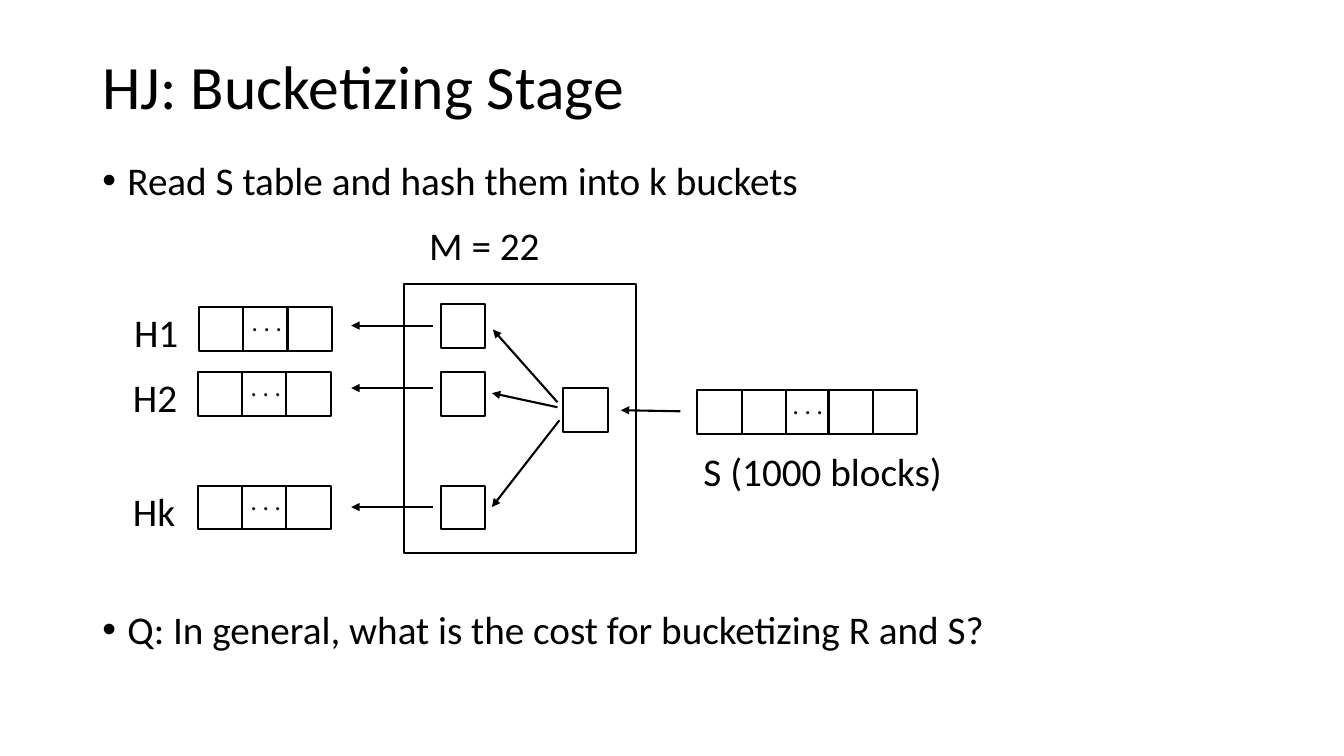
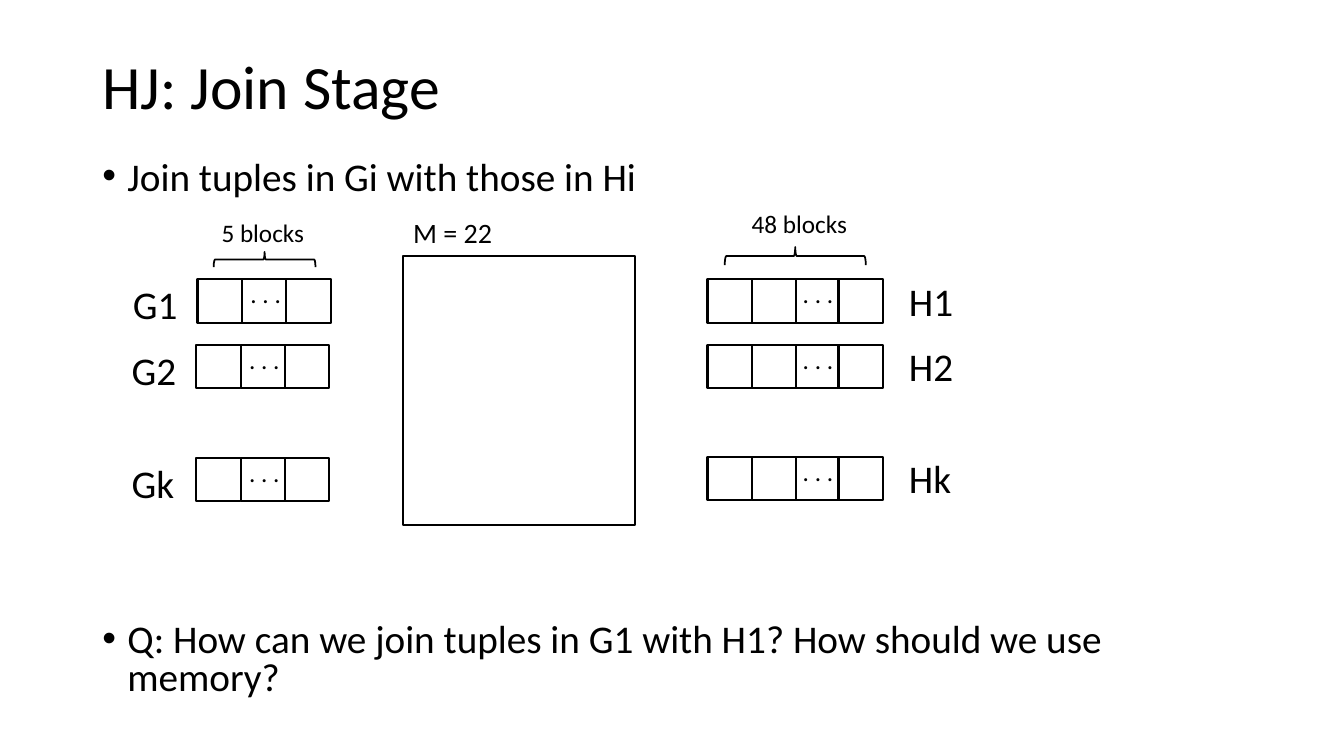
"""Builds two slides on the bucketizing and join stages of a hash join."""
from dataclasses import dataclass
from typing import Optional, Union

from lxml.etree import SubElement
from pptx import Presentation
from pptx.dml.color import RGBColor
from pptx.enum.shapes import MSO_CONNECTOR, MSO_SHAPE
from pptx.enum.text import MSO_ANCHOR, MSO_AUTO_SIZE, PP_ALIGN
from pptx.oxml.ns import qn
from pptx.shapes.autoshape import Shape
from pptx.shapes.shapetree import GroupShapes, SlideShapes
from pptx.slide import Slide
from pptx.text.text import TextFrame
from pptx.util import Pt

Shapes = Union[SlideShapes, GroupShapes]

FONT = "Calibri"
BLACK = "000000"
WHITE = "FFFFFF"
TITLE_SIZE, BODY_SIZE, MEMORY_SIZE, NOTE_SIZE = 44, 28, 20, 18
MARGIN, CONTENT_WIDTH = 66, 828
CELL_WIDTH, CELL_HEIGHT = 31.7, 31.2
MEMORY_WIDTH, MEMORY_HEIGHT = 165.6, 192.2
LINE_WIDTH = 1.5
LEFT_LABEL_SHIFT = (-53.3, -2.6)
RIGHT_LABEL_SHIFT = (136.8, -5)


@dataclass(frozen=True)
class Label:
    """A single line of text and its frame."""
    text: str
    left: float
    top: float
    width: float
    height: float = 41
    size: float = BODY_SIZE


@dataclass(frozen=True)
class Strip:
    """A row of blocks, one of which holds an ellipsis."""
    left: float
    top: float
    count: int
    dots_index: int
    name: str = ""
    name_shift: tuple[float, float] = LEFT_LABEL_SHIFT


@dataclass(frozen=True)
class Arrow:
    """A line with its arrowhead at the end point."""
    start: tuple[float, float]
    end: tuple[float, float]


@dataclass(frozen=True)
class Brace:
    """A right brace frame, before its turn to point upwards."""
    left: float
    top: float
    width: float
    height: float


@dataclass(frozen=True)
class Bullets:
    """Two bullets with a gap for the diagram between them."""
    statement: str
    question: str
    gap: float
    line_spacing: float


@dataclass(frozen=True)
class Diagram:
    """Everything shown on one slide."""
    title: str
    bullets: Bullets
    memory: tuple[float, float]
    cells: list[tuple[float, float]]
    strips: list[Strip]
    labels: list[Label]
    arrows: list[Arrow]
    braces: list[Brace]


def color(value: str) -> RGBColor:
    """Turn a hex string into a colour."""
    return RGBColor.from_string(value)


def format_text(frame: TextFrame, size: float) -> None:
    """Give all runs the shared font and colour."""
    for para in frame.paragraphs:
        for span in para.runs:
            span.font.name = FONT
            span.font.size = Pt(size)
            span.font.color.rgb = color(BLACK)


def outline(shape: Shape, width: float, fill: Optional[str]) -> None:
    """Set a black line and a plain fill or none."""
    shape.shadow.inherit = False
    shape.line.color.rgb = color(BLACK)
    shape.line.width = Pt(width)
    if fill is None:
        shape.fill.background()
    else:
        shape.fill.solid()
        shape.fill.fore_color.rgb = color(fill)


def add_rectangle(shapes: Shapes, left: float, top: float,
                  width: float = CELL_WIDTH, height: float = CELL_HEIGHT) -> None:
    """Draw a white rectangle, one block in size by default."""
    box = shapes.add_shape(MSO_SHAPE.RECTANGLE, Pt(left), Pt(top), Pt(width), Pt(height))
    outline(box, LINE_WIDTH, WHITE)


def add_label(shapes: Shapes, label: Label) -> None:
    """Draw a label that does not wrap."""
    box = shapes.add_textbox(Pt(label.left), Pt(label.top), Pt(label.width), Pt(label.height))
    frame = box.text_frame
    frame.text = label.text
    frame.word_wrap = False
    frame.auto_size = MSO_AUTO_SIZE.SHAPE_TO_FIT_TEXT
    format_text(frame, label.size)


def add_strip(page: Slide, strip: Strip) -> None:
    """Draw a strip of blocks with its ellipsis and name as one group."""
    shapes = page.shapes.add_group_shape().shapes
    tuck = 1.5 if strip.dots_index > 1 else 0
    for index in range(strip.count):
        overlap = tuck if index > strip.dots_index else 0
        add_rectangle(shapes, strip.left + index * CELL_WIDTH - overlap, strip.top)
    dots_left = strip.left + strip.dots_index * CELL_WIDTH - 1 - tuck
    add_label(shapes, Label(". . .", dots_left, strip.top - 4.1, 36.7, 29, NOTE_SIZE))
    if strip.name:
        across, down = strip.name_shift
        add_label(shapes, Label(strip.name, strip.left + across, strip.top + down, 46.8))


def add_arrow(page: Slide, arrow: Arrow) -> None:
    """Draw a straight arrow."""
    points = [Pt(value) for value in (*arrow.start, *arrow.end)]
    line = page.shapes.add_connector(MSO_CONNECTOR.STRAIGHT, *points)
    line.line.color.rgb = color(BLACK)
    line.line.width = Pt(LINE_WIDTH)
    SubElement(line.line._get_or_add_ln(), qn("a:tailEnd"), type="triangle")
    SubElement(line._element.spPr, qn("a:effectLst"))


def add_brace(page: Slide, brace: Brace) -> None:
    """Draw a brace that points upwards."""
    shape = page.shapes.add_shape(MSO_SHAPE.RIGHT_BRACE, Pt(brace.left), Pt(brace.top),
                                  Pt(brace.width), Pt(brace.height))
    shape.rotation = 270
    outline(shape, 1.25, None)


def set_title(page: Slide, text: str) -> None:
    """Place and format the title placeholder."""
    title = page.shapes.title
    title.left, title.top = Pt(MARGIN), Pt(28.8)
    title.width, title.height = Pt(CONTENT_WIDTH), Pt(69.8)
    frame = title.text_frame
    frame.text = text
    frame.word_wrap = True
    frame.auto_size = MSO_AUTO_SIZE.NONE
    frame.vertical_anchor = MSO_ANCHOR.MIDDLE
    para = frame.paragraphs[0]
    para.alignment = PP_ALIGN.LEFT
    para.line_spacing = 0.9
    format_text(frame, TITLE_SIZE)


def add_bullets(page: Slide, bullets: Bullets) -> None:
    """Write the statement above and the question below the diagram."""
    box = page.shapes.add_textbox(Pt(MARGIN), Pt(111.6), Pt(CONTENT_WIDTH), Pt(415))
    frame = box.text_frame
    frame.word_wrap = True
    frame.text = bullets.statement
    frame.add_paragraph().text = bullets.question
    for para, space in zip(frame.paragraphs, (0, bullets.gap)):
        para.line_spacing = bullets.line_spacing
        para.space_before = Pt(space)
        properties = para._p.get_or_add_pPr()
        properties.set("marL", str(Pt(18)))
        properties.set("indent", str(Pt(-18)))
        SubElement(properties, qn("a:buFont"), typeface="Arial")
        SubElement(properties, qn("a:buChar"), char="•")
    format_text(frame, BODY_SIZE)


def draw(page: Slide, diagram: Diagram) -> None:
    """Draw one slide from back to front."""
    set_title(page, diagram.title)
    add_bullets(page, diagram.bullets)
    add_rectangle(page.shapes, *diagram.memory, MEMORY_WIDTH, MEMORY_HEIGHT)
    for left, top in diagram.cells:
        add_rectangle(page.shapes, left, top)
    for strip in diagram.strips:
        add_strip(page, strip)
    for label in diagram.labels:
        add_label(page.shapes, label)
    for arrow in diagram.arrows:
        add_arrow(page, arrow)
    for brace in diagram.braces:
        add_brace(page, brace)


BUCKETIZING = Diagram(
    title="HJ: Bucketizing Stage",
    bullets=Bullets("Read S table and hash them into k buckets",
                    "Q: In general, what is the cost for bucketizing R and S?", 290.7, 0.9),
    memory=(288.7, 203),
    cells=[(402.5, 277.2)] + [(315, top) for top in (217.4, 265.7, 347)],
    strips=[Strip(498.2, 278.6, 5, 2)] + [
        Strip(left, top, 3, 1, name)
        for name, left, top in (("H1", 142, 219.4), ("H2", 141.2, 265.7), ("Hk", 141.2, 347))],
    labels=[Label("M = 22", 299.5, 154.8, 94.3),
            Label("S (1000 blocks)", 495.4, 316, 189.4)],
    arrows=[Arrow((486, 293.8), (443.5, 293))]
    + [Arrow((309.2, y), (250.9, y)) for y in (232.6, 277.2, 362.2)]
    + [Arrow((398.2, 287.3), (352.1, 235.4)),
       Arrow((398.2, 290.9), (351.4, 280.8)),
       Arrow((399.6, 300.2), (351.4, 362.2))],
    braces=[],
)

JOIN = Diagram(
    title="HJ: Join Stage",
    bullets=Bullets("Join tuples in Gi with those in Hi",
                    "Q: How can we join tuples in G1 with H1? How should we use memory?",
                    303.4, 0.8),
    memory=(288, 182.9),
    cells=[],
    strips=[Strip(left, top, 3, 1, name)
            for name, left, top in (("G1", 141.1, 199.4), ("G2", 140.2, 246.2),
                                    ("Gk", 140.2, 326.9))]
    + [Strip(505.4, top, 4, 2, name, RIGHT_LABEL_SHIFT)
       for name, top in (("H1", 199.4), ("H2", 246.2), ("Hk", 326.2))],
    labels=[Label("M = 22", 288, 150.5, 71.3, 31.7, MEMORY_SIZE),
            Label("5 blocks", 151.2, 151.9, 74.2, 29, NOTE_SIZE),
            Label("48 blocks", 529.9, 145.4, 83.5, 29, NOTE_SIZE)],
    arrows=[],
    braces=[Brace(183.6, 149, 10.8, 72.7), Brace(561.6, 132.5, 13, 100.8)],
)


def main() -> None:
    """Build and save the deck."""
    deck = Presentation()
    deck.slide_width, deck.slide_height = Pt(960), Pt(540)
    title_only = deck.slide_layouts[5]
    for diagram in (BUCKETIZING, JOIN):
        draw(deck.slides.add_slide(title_only), diagram)
    deck.save("out.pptx")


if __name__ == "__main__":
    main()
